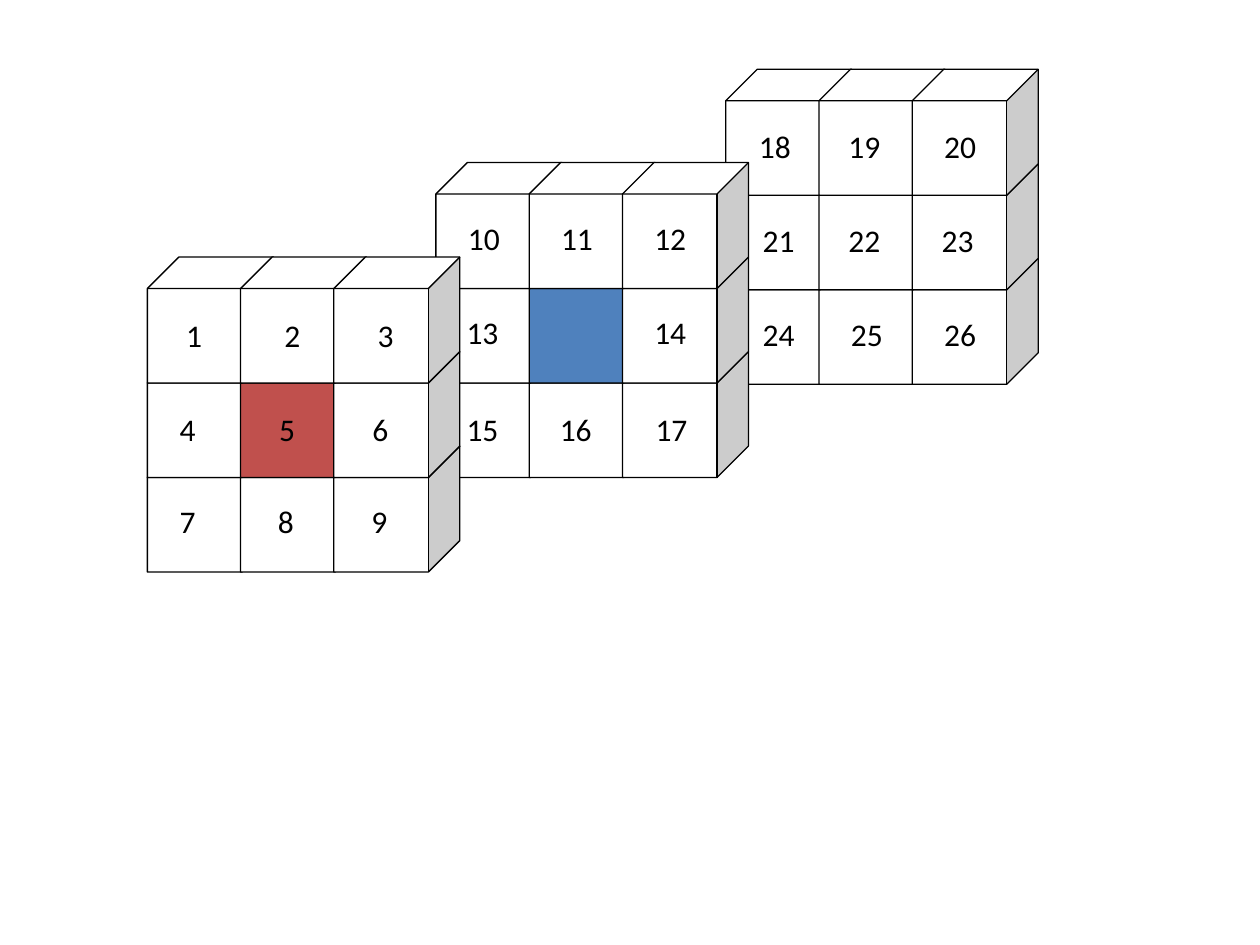
"""Build a slide with three overlapping 3 x 3 layers of numbered cubes."""
from pptx import Presentation
from pptx.dml.color import RGBColor
from pptx.enum.shapes import MSO_SHAPE
from pptx.enum.text import MSO_ANCHOR, MSO_AUTO_SIZE, PP_ALIGN
from pptx.util import Inches, Pt

THEME = {
    "plain": RGBColor.from_string("FFFFFF"),
    "blue": RGBColor.from_string("4F81BD"),
    "red": RGBColor.from_string("C0504D"),
    "ink": RGBColor.from_string("000000"),
    "font": "Calibri",
    "size": Pt(18),
    "line": Pt(0.75),
}

LAYERS = [
    {
        "origin": (5.76, 0.55),
        "center": "plain",
        "rows": [("18", "19", "20"), ("21", "22", "23"), ("24", "25", "26")],
        "shifts": [(0.02, -0.01, 0.01), (0.05, -0.01, -0.01), (0.05, 0.01, 0.01)],
        "drops": (0.41, 0.40, 0.40),
    },
    {
        "origin": (3.46, 1.29),
        "center": "blue",
        "rows": [("10", "11", "12"), ("13", "", "14"), ("15", "16", "17")],
        "shifts": [(0.01, 0.01, 0.01), (0, 0, 0.01), (0, 0, 0.02)],
        "drops": (0.40, 0.39, 0.41),
    },
    {
        "origin": (1.17, 2.04),
        "center": "red",
        "rows": [("1", "2", "3"), ("4", "5", "6"), ("7", "8", "9")],
        "shifts": [(0, 0.04, 0.04), (-0.05, 0, 0), (-0.05, -0.01, -0.01)],
        "drops": (0.42, 0.41, 0.39),
    },
]

SLIDE_SIZE = (10, 7.5)
COLUMN_STEP, ROW_STEP = 0.74, 0.75
CUBE_SIZE = 1
LABEL_SIZE = (0.74, 0.4)
FRAME_FORMAT = {
    "word_wrap": True,
    "auto_size": MSO_AUTO_SIZE.SHAPE_TO_FIT_TEXT,
    "vertical_anchor": MSO_ANCHOR.BOTTOM,
}
FONT_FORMAT = {"name": THEME["font"], "size": THEME["size"]}


def apply_format(target, values):
    """Set each named attribute on the target."""
    for name, value in values.items():
        setattr(target, name, value)


def cell_position(layer, row, column):
    """Return the left and top of a cube in inches."""
    left, top = layer["origin"]
    return left + column * COLUMN_STEP, top + row * ROW_STEP


def add_cube(page, layer, row, column):
    """Draw one cube of a layer."""
    position = cell_position(layer, row, column)
    cube = page.shapes.add_shape(
        MSO_SHAPE.CUBE, *map(Inches, (*position, CUBE_SIZE, CUBE_SIZE))
    )
    cube.shadow.inherit = False
    cube.fill.solid()
    color = layer["center"] if (row, column) == (1, 1) else "plain"
    cube.fill.fore_color.rgb = THEME[color]
    cube.line.color.rgb = THEME["ink"]
    cube.line.width = THEME["line"]


def add_label(page, layer, row, column):
    """Write the number of one cube."""
    left, top = cell_position(layer, row, column)
    position = (left + layer["shifts"][row][column], top + layer["drops"][row])
    box = page.shapes.add_textbox(*map(Inches, (*position, *LABEL_SIZE)))
    apply_format(box.text_frame, FRAME_FORMAT)
    para = box.text_frame.paragraphs[0]
    para.alignment = PP_ALIGN.CENTER
    span = para.add_run()
    span.text = layer["rows"][row][column]
    apply_format(span.font, FONT_FORMAT)
    span.font.color.rgb = THEME["ink"]


def main():
    """Draw the cubes from back to front, then their numbers."""
    deck = Presentation()
    deck.slide_width, deck.slide_height = map(Inches, SLIDE_SIZE)
    page = deck.slides.add_slide(deck.slide_layouts[6])
    for layer in LAYERS:
        for row in reversed(range(3)):
            for column in range(3):
                add_cube(page, layer, row, column)
    for layer in reversed(LAYERS):
        for row, texts in enumerate(layer["rows"]):
            for column, text in enumerate(texts):
                if text:
                    add_label(page, layer, row, column)
    deck.save("out.pptx")


if __name__ == "__main__":
    main()
